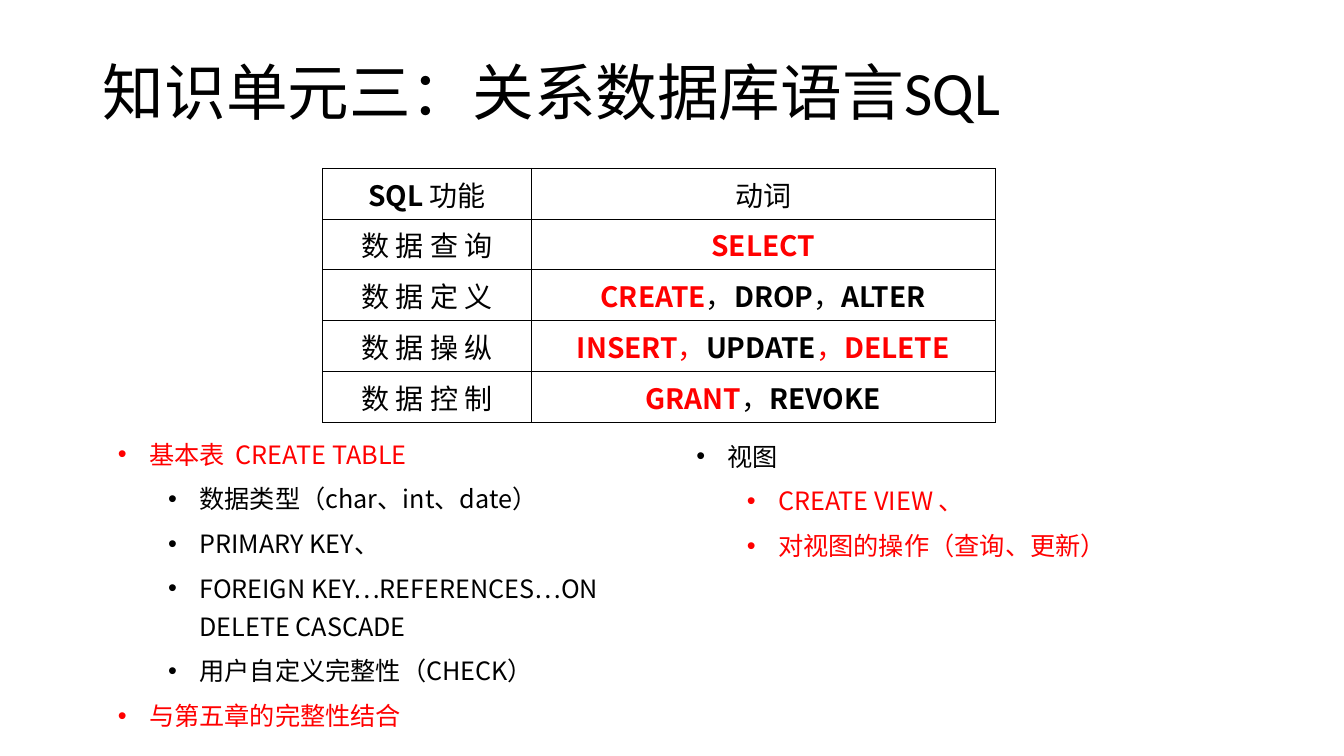
from lxml import etree
from pptx import Presentation
from pptx import util as u
from pptx.dml.color import RGBColor
from pptx.enum import text
from pptx.oxml.ns import qn

PX = 9144  # EMU per px, 100 px to the inch
COLOURS = {"black": "000000", "red": "FF0000"}
CJK_FONT = "Noto Sans CJK SC"


def add_run(paragraph, words, size, colour="black", bold=False, latin=CJK_FONT):
    run = paragraph.add_run()
    run.text = words
    run.font.size = u.Pt(size)
    run.font.bold = bold
    run.font.name = latin
    run.font.color.rgb = RGBColor.from_string(COLOURS[colour])
    east_asian = etree.Element(qn("a:ea"), typeface=CJK_FONT)
    run.font._element.find(qn("a:latin")).addnext(east_asian)


presentation = Presentation()
presentation.slide_width = 1333 * PX
presentation.slide_height = 750 * PX
slide = presentation.slides.add_slide(presentation.slide_layouts[5])

# Title
title = slide.shapes.title
title.left, title.top, title.width, title.height = (n * PX for n in (92, 22, 1150, 145))
title.text_frame.vertical_anchor = text.MSO_ANCHOR.MIDDLE
title_paragraph = title.text_frame.paragraphs[0]
title_paragraph.alignment = text.PP_ALIGN.LEFT
title_paragraph.line_spacing = 0.9
add_run(title_paragraph, "知识单元三：关系数据库语言SQL", 44, latin="Calibri")

# Table of SQL verbs: each cell is a list of (words, colour, bold)
comma = ("，", "black", False)
red_comma = ("，", "red", False)
verb_rows = [
    ([("SQL ", "black", True), ("功能", "black", False)], [("动词", "black", False)]),
    ([("数 据 查 询", "black", False)], [("SELECT", "red", True)]),
    ([("数 据 定 义", "black", False)],
     [("CREATE", "red", True), comma, ("DROP", "black", True), comma, ("ALTER", "black", True)]),
    ([("数 据 操 纵", "black", False)],
     [("INSERT", "red", True), red_comma, ("UPDATE", "black", True), red_comma,
      ("DELETE", "red", True)]),
    ([("数 据 控 制", "black", False)],
     [("GRANT", "red", True), comma, ("REVOKE", "black", True)]),
]
row_height = 50
table = slide.shapes.add_table(len(verb_rows), 2, 320 * PX, 167 * PX, 667 * PX,
                               len(verb_rows) * row_height * PX).table
table.first_row = table.horz_banding = False
for column, width in zip(table.columns, (207, 460)):
    column.width = width * PX
for row_index, verb_row in enumerate(verb_rows):
    for column_index, runs in enumerate(verb_row):
        cell = table.cell(row_index, column_index)
        cell.vertical_anchor = text.MSO_ANCHOR.MIDDLE
        cell.fill.background()
        paragraph = cell.text_frame.paragraphs[0]
        paragraph.alignment = text.PP_ALIGN.CENTER
        for words, colour, bold in runs:
            add_run(paragraph, words, 20, colour, bold)
        properties = cell._tc.get_or_add_tcPr()
        for position, side in enumerate(("lnL", "lnR", "lnT", "lnB")):
            border = etree.Element(qn(f"a:{side}"), w=str(u.Pt(0.75)))
            fill = etree.SubElement(border, qn("a:solidFill"))
            etree.SubElement(fill, qn("a:srgbClr"), val=COLOURS["black"])
            properties.insert(position, border)

# Bullet lists: box, then (level, words, colour)
bullet_lists = [
    ((107, 423, 574, 307), [
        (0, "基本表  CREATE TABLE", "red"),
        (1, "数据类型（char、int、date）", "black"),
        (1, "PRIMARY KEY、", "black"),
        (1, "FOREIGN KEY…REFERENCES…ON DELETE CASCADE", "black"),
        (1, "用户自定义完整性（CHECK）", "black"),
        (0, "与第五章的完整性结合", "red"),
    ]),
    ((681, 425, 610, 134), [
        (0, "视图", "black"),
        (1, "CREATE VIEW 、", "red"),
        (1, "对视图的操作（查询、更新）", "red"),
    ]),
]
for box, items in bullet_lists:
    frame = slide.shapes.add_textbox(*(n * PX for n in box)).text_frame
    frame.word_wrap = True
    frame.auto_size = text.MSO_AUTO_SIZE.SHAPE_TO_FIT_TEXT
    for index, (level, words, colour) in enumerate(items):
        paragraph = frame.add_paragraph() if index else frame.paragraphs[0]
        paragraph.level = level
        paragraph.line_spacing = 1.25
        paragraph.space_before = u.Pt(5)
        properties = paragraph._p.get_or_add_pPr()
        properties.set("marL", str((31 + 50 * level) * PX))
        properties.set("indent", str(-31 * PX))
        etree.SubElement(properties, qn("a:buFont"), typeface="Arial")
        etree.SubElement(properties, qn("a:buChar"), char="•")
        add_run(paragraph, words, 18, colour)

presentation.save("out.pptx")
